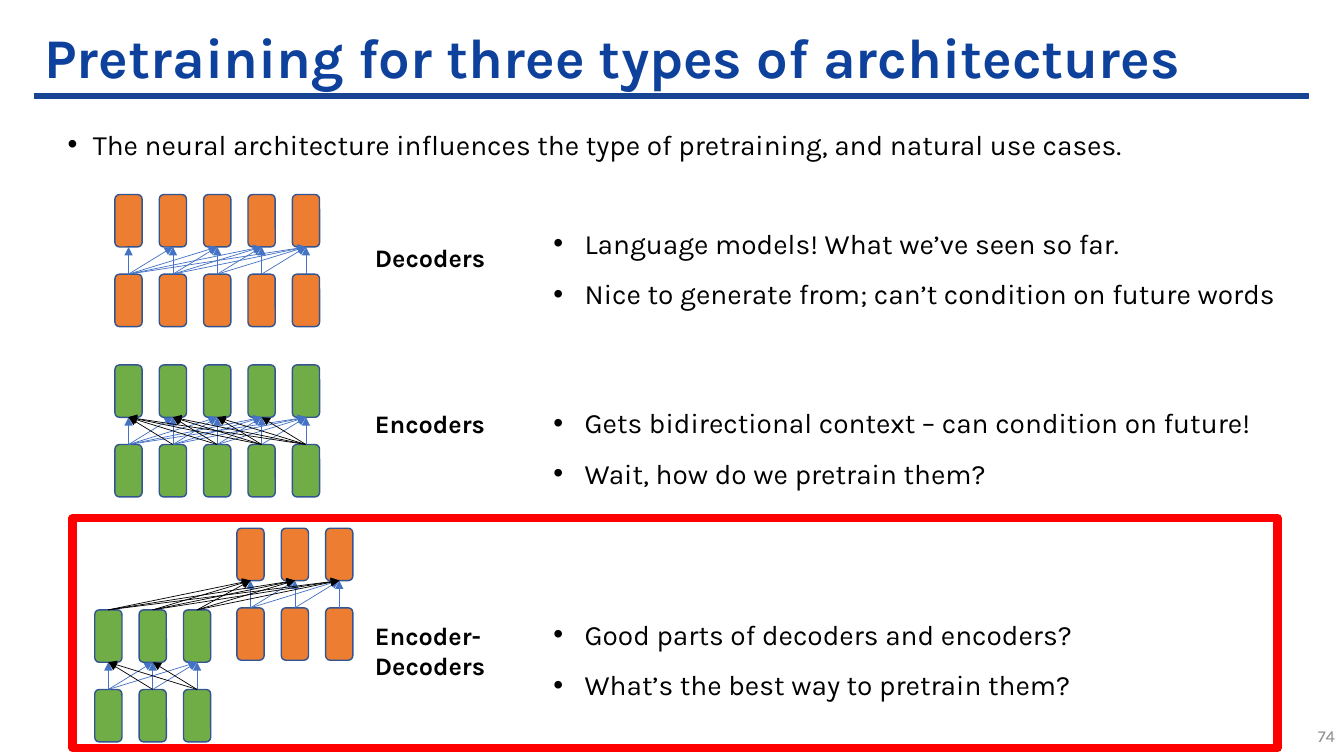
from itertools import product

from pptx import Presentation
from pptx.dml.color import RGBColor
from pptx.enum.shapes import MSO_CONNECTOR as Connector, MSO_SHAPE as Shape
from pptx.enum.text import MSO_ANCHOR as Anchor, MSO_AUTO_SIZE as AutoSize, PP_ALIGN as Align
from pptx.oxml.ns import qn
from pptx.util import Inches, Pt
from lxml.etree import SubElement

FONT = "Karla"
BLACK, RED, GREY = "000000", "FF0000", "8C8C8C"
TITLE_BLUE, RULE_BLUE = "0E419C", "174593"
ORANGE, GREEN, BLOCK_EDGE, ARROW_BLUE = "ED7D31", "70AD47", "325491", "4472C4"
BLOCK_WIDTH, BLOCK_HEIGHT, BLOCK_PITCH, LAYER_PITCH = 0.27, 0.52, 0.44, 0.79
TOP, BOTTOM = 0, 2


def rgb(colour):
    return RGBColor.from_string(colour)


class ArchitectureSlide:
    """Draws styled elements on one slide."""

    def __init__(self, deck):
        self.slide = deck.slides.add_slide(deck.slide_layouts[1])
        self.shapes = self.slide.shapes

    def place(self, holder, box):
        holder.left, holder.top, holder.width, holder.height = map(Inches, box)
        holder.text_frame.word_wrap = True
        holder.text_frame.auto_size = AutoSize.NONE
        return holder.text_frame

    def add_text(self, paragraph, text, size, colour=BLACK, bold=False, spacing=1.0,
                 align=Align.LEFT, indent=None):
        if indent:
            properties = paragraph._p.get_or_add_pPr()
            properties.set("marL", str(Inches(indent)))
            properties.set("indent", str(-Inches(indent)))
            SubElement(properties, qn("a:buFont")).set("typeface", "Arial")
            SubElement(properties, qn("a:buChar")).set("char", "•")
        paragraph.alignment = align
        paragraph.line_spacing = spacing
        paragraph.space_before = Pt(0)
        run = paragraph.add_run()
        run.text = text
        run.font.name, run.font.size, run.font.bold = FONT, Pt(size), bold
        run.font.color.rgb = rgb(colour)

    def title(self, text, box):
        frame = self.place(self.shapes.title, box)
        frame.vertical_anchor = Anchor.MIDDLE
        self.add_text(frame.paragraphs[0], text, 40, TITLE_BLUE, bold=True, spacing=0.9)

    def body(self, text, box):
        frame = self.place(self.slide.placeholders[1], box)
        frame.vertical_anchor = Anchor.TOP
        self.add_text(frame.paragraphs[0], text, 20, indent=0.25)

    def text_box(self, lines, box, size, anchor=Anchor.TOP, **style):
        frame = self.place(self.shapes.add_textbox(0, 0, 0, 0), box)
        frame.vertical_anchor = anchor
        for index, line in enumerate(lines):
            paragraph = frame.add_paragraph() if index else frame.paragraphs[0]
            self.add_text(paragraph, line, size, **style)

    def block(self, kind, box, fill, edge, weight=1):
        block = self.shapes.add_shape(kind, *map(Inches, box))
        block.shadow.inherit = False
        if fill:
            block.fill.solid()
            block.fill.fore_color.rgb = rgb(fill)
        else:
            block.fill.background()
        block.line.color.rgb = rgb(edge)
        block.line.width = Pt(weight)
        return block

    def arrow(self, source, target, colour):
        arrow = self.shapes.add_connector(Connector.STRAIGHT, 0, 0, 0, 0)
        arrow.begin_connect(source, TOP)
        arrow.end_connect(target, BOTTOM)
        arrow.line.color.rgb = rgb(colour)
        arrow.line.width = Pt(0.5)
        SubElement(arrow.line._get_or_add_ln(), qn("a:tailEnd")).set("type", "triangle")
        SubElement(arrow._element.spPr, qn("a:effectLst"))

    def layer(self, left, top, count, fill):
        return [
            self.block(Shape.ROUNDED_RECTANGLE,
                       (left + i * BLOCK_PITCH, top, BLOCK_WIDTH, BLOCK_HEIGHT),
                       fill, BLOCK_EDGE)
            for i in range(count)
        ]

    def network(self, left, top, count, fill, bidirectional=False):
        outputs = self.layer(left, top, count, fill)
        inputs = self.layer(left, top + LAYER_PITCH, count, fill)
        pairs = list(product(range(count), repeat=2))
        for source, target in pairs:
            if target >= source:
                self.arrow(inputs[source], outputs[target], ARROW_BLUE)
        if bidirectional:
            for source, target in pairs:
                if target < source:
                    self.arrow(inputs[source], outputs[target], BLACK)
        return outputs


def main():
    deck = Presentation()
    deck.slide_width, deck.slide_height = Inches(13.33), Inches(7.5)
    page = ArchitectureSlide(deck)

    page.block(Shape.RECTANGLE, (0.34, 0.93, 12.64, 0.05), RULE_BLUE, RULE_BLUE)
    page.title("Pretraining for three types of architectures", (0.34, 0.26, 12.64, 0.67))
    page.body("The neural architecture influences the type of pretraining, "
              "and natural use cases.", (0.57, 1.21, 12.1, 0.53))
    page.text_box(["74"], (12.67, 7.1, 0.67, 0.4), 12, Anchor.MIDDLE,
                  colour=GREY, align=Align.RIGHT)

    page.network(1.14, 1.93, 5, ORANGE)
    page.network(1.14, 3.62, 5, GREEN, bidirectional=True)

    architectures = [
        ("Decoders", 2.36, 0.4, 2.03,
         ["Language models! What we’ve seen so far.",
          "Nice to generate from; can’t condition on future words"]),
        ("Encoders", 4.0, 0.4, 3.81,
         ["Gets bidirectional context – can condition on future!",
          "Wait, how do we pretrain them?"]),
        ("Encoder-Decoders", 6.1, 0.71, 5.91,
         ["Good parts of decoders and encoders?",
          "What’s the best way to pretrain them?"]),
    ]
    for name, name_top, name_height, points_top, points in architectures:
        page.text_box([name], (3.62, name_top, 1.41, name_height), 18, bold=True)
        page.text_box(points, (5.39, points_top, 7.42, 1.04), 20, spacing=1.5, indent=0.31)

    decoder_outputs = page.network(2.35, 5.24, 3, ORANGE)
    encoder_outputs = page.network(0.94, 6.05, 3, GREEN, bidirectional=True)
    for target, source in product(decoder_outputs, encoder_outputs):
        page.arrow(source, target, BLACK)

    page.block(Shape.RECTANGLE, (0.72, 5.14, 11.95, 2.28), None, RED, 6)
    deck.save("out.pptx")


if __name__ == "__main__":
    main()
